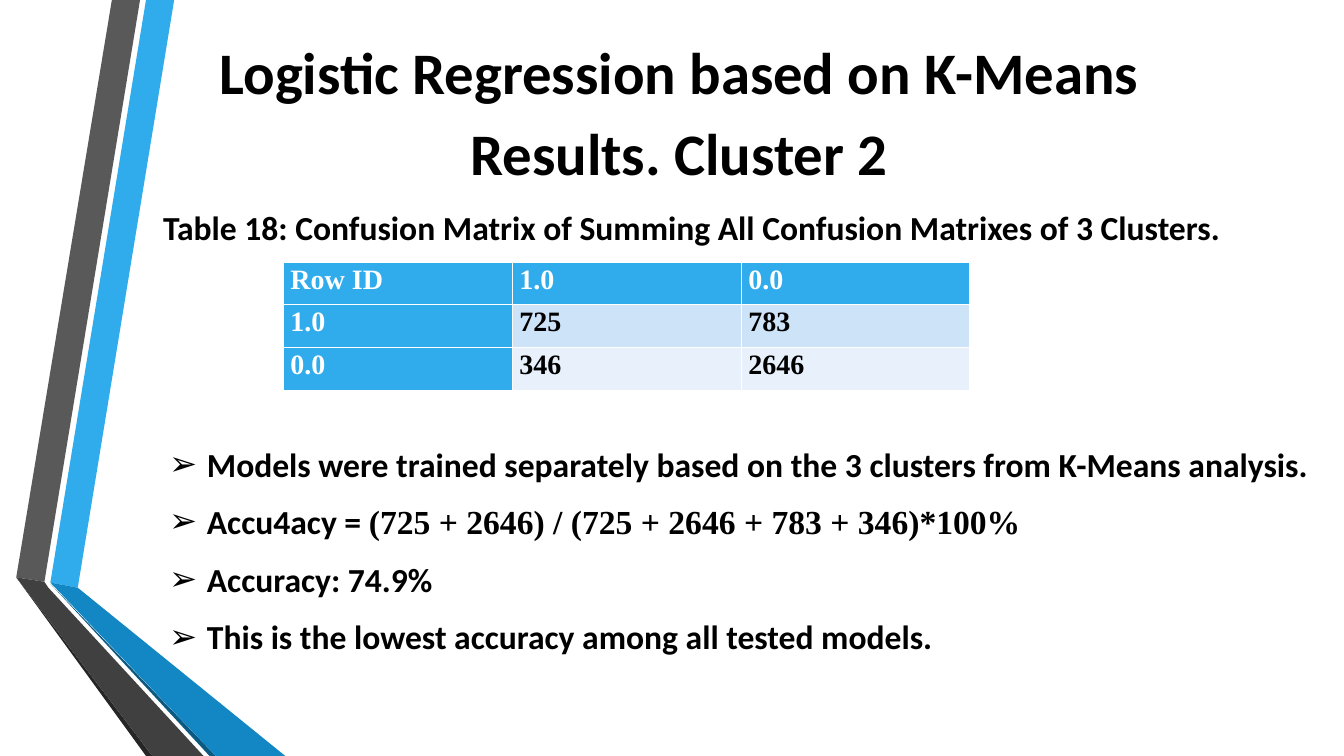
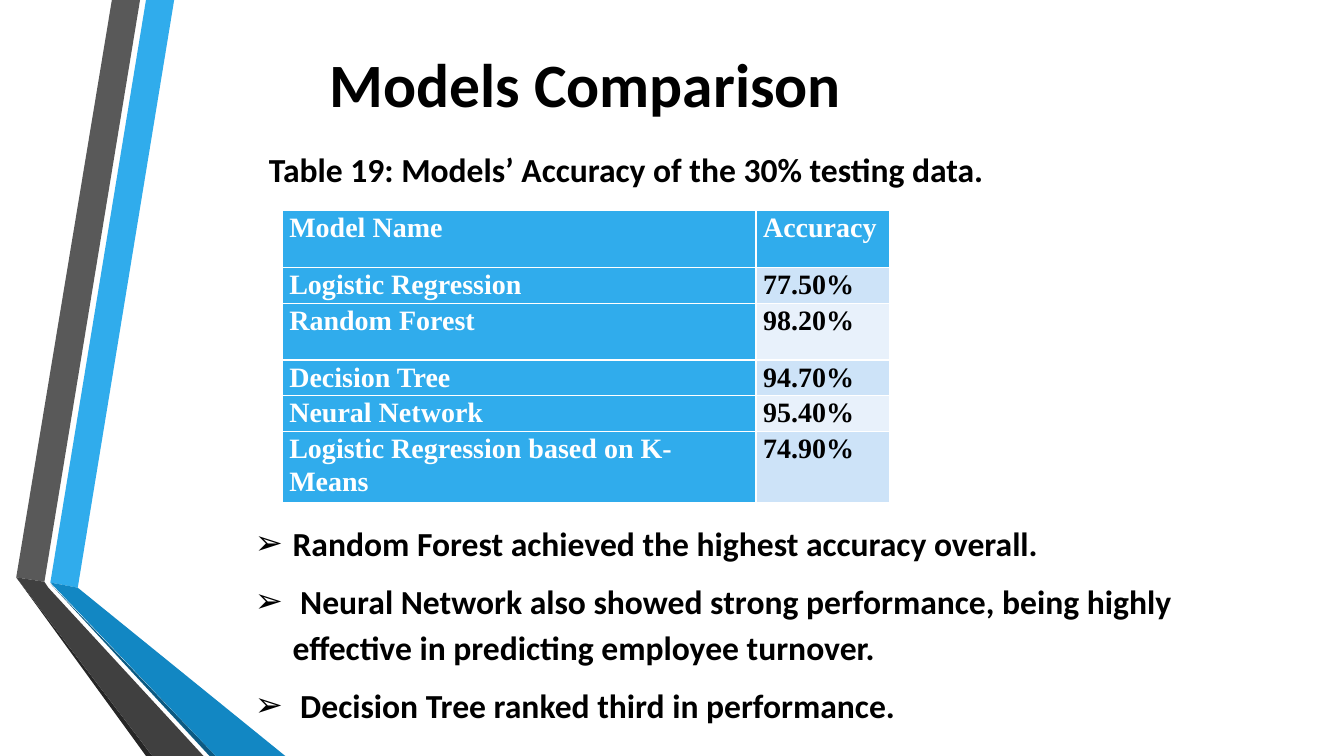
from lxml.etree import SubElement
from pptx import Presentation
from pptx.dml.color import RGBColor
from pptx.enum.text import MSO_ANCHOR, MSO_AUTO_SIZE, PP_ALIGN
from pptx.oxml.ns import qn
from pptx.util import Cm, Pt

BLUE, WHITE, BLACK = "30ACEC", "FFFFFF", "000000"
STRIPES = ("CDE3F8", "E8F1FB")
SANS, SERIF = "Calibri", "Times New Roman"
BANDS = [
    (BLUE, [(1.27, 14.68), (1.96, 14.81), (4.39, 0), (3.68, 0)]),
    ("595959", [(3.53, 0), (2.82, 0), (0.41, 14.55), (1.12, 14.66)]),
    ("262626", [(0.41, 14.55), (3.68, 19.05), (3.84, 19.05)]),
    ("0C5A82", [(1.27, 14.71), (5.28, 19.05), (5.44, 19.05)]),
    ("1287C3", [(1.27, 14.68), (5.44, 19.05), (7.19, 19.05), (1.96, 14.81)]),
    ("404040", [(5.13, 19.05), (1.22, 14.81), (1.12, 14.66), (0.41, 14.55),
                (3.84, 19.05)]),
]


def rgb(color):
    return RGBColor.from_string(color)


class Deck:
    """Holds the presentation, its style and the current slide."""

    def __init__(self):
        self.prs = Presentation()
        self.prs.slide_width, self.prs.slide_height = Cm(33.87), Cm(19.05)
        self.s = None

    def slide(self):
        first = self.s is None
        self.s = self.prs.slides.add_slide(self.prs.slide_layouts[1])
        if first:
            self.bands()

    def bands(self):
        tree = self.prs.slide_master.shapes.element
        for i, (color, points) in enumerate(BANDS):
            start, *rest = [(Cm(x), Cm(y)) for x, y in points]
            fb = self.s.shapes.build_freeform(*start)
            fb.add_line_segments(rest, close=True)
            sp = fb.convert_to_shape()
            sp.shadow.inherit = False
            sp.fill.solid()
            sp.fill.fore_color.rgb = rgb(color)
            sp.line.fill.background()
            tree.insert(2 + i, sp.element)

    def place(self, sp, box):
        sp.left, sp.top, sp.width, sp.height = [Cm(v) for v in box]
        tf = sp.text_frame
        tf.word_wrap = True
        tf.auto_size = MSO_AUTO_SIZE.NONE
        tf.vertical_anchor = MSO_ANCHOR.TOP
        return tf

    def spacing(self, p, line, after=8):
        p.space_before, p.space_after, p.line_spacing = Pt(0), Pt(after), line

    def font(self, r, size, name=SANS, color=BLACK):
        r.font.name, r.font.size, r.font.bold = name, Pt(size), True
        r.font.color.rgb = rgb(color)

    def title(self, text, box, size, line=1.0):
        tf = self.place(self.s.shapes.title, box)
        tf.text = text
        p = tf.paragraphs[0]
        p.alignment = PP_ALIGN.CENTER
        self.spacing(p, line)
        self.font(p.runs[0], size)

    def caption(self, text, box):
        tf = self.place(self.s.shapes.add_textbox(0, 0, 0, 0), box)
        tf.text = text
        p = tf.paragraphs[0]
        self.spacing(p, 1.07)
        self.font(p.runs[0], 24)

    def bullets(self, items, box):
        tf = self.place(self.s.placeholders[1], box)
        for i, (text, *formula) in enumerate(items):
            p = tf.add_paragraph() if i else tf.paragraphs[0]
            p.text = text
            pPr = p._p.get_or_add_pPr()
            pPr.set("marL", str(Cm(0.95)))
            pPr.set("indent", str(-Cm(0.95)))
            SubElement(pPr, qn("a:buChar")).set("char", "➢")
            self.spacing(p, 1.15)
            self.font(p.runs[0], 24)
            for part in formula:
                r = p.add_run()
                r.text = part
                self.font(r, 24, SERIF)

    def table(self, rows, left, top, widths, heights):
        frame = self.s.shapes.add_table(
            len(rows), len(widths), Cm(left), Cm(top),
            Cm(sum(widths)), Cm(sum(heights)))
        tbl = frame.table
        for col, width in zip(tbl.columns, widths):
            col.width = Cm(width)
        for i, (values, height) in enumerate(zip(rows, heights)):
            tbl.rows[i].height = Cm(height)
            for j, value in enumerate(values):
                self.cell(tbl.cell(i, j), value, i, heading=i == 0 or j == 0)

    def cell(self, cell, value, row, heading):
        cell.margin_left = cell.margin_right = Cm(0.18)
        cell.margin_top = cell.margin_bottom = 0
        cell.fill.solid()
        cell.fill.fore_color.rgb = rgb(BLUE if heading else STRIPES[(row - 1) % 2])
        cell.text_frame.text = value
        p = cell.text_frame.paragraphs[0]
        self.spacing(p, 1.07)
        self.font(p.runs[0], 20, SERIF, WHITE if heading else BLACK)


def main():
    deck = Deck()

    deck.slide()
    deck.title("Logistic Regression based on K-Means Results. Cluster 2",
               (4.01, 0.51, 26.21, 4.27), 42, 1.15)
    deck.table([("Row ID", "1.0", "0.0"),
                ("1.0", "725", "783"),
                ("0.0", "346", "2646")],
               7.14, 6.6, [5.77] * 3, [1.08] * 3)
    deck.caption("Table 18: Confusion Matrix of Summing All Confusion Matrixes "
                 "of 3 Clusters.", (3.86, 5.03, 28.35, 1.3))
    deck.bullets([
        ("Models were trained separately based on the 3 clusters from "
         "K-Means analysis.",),
        ("Accu4acy = ", "(725 + 2646) / (725 + 2646 + 783 + 346)*100%"),
        ("Accuracy: 74.9%",),
        ("This is the lowest accuracy among all tested models.",),
    ], (4.01, 10.9, 29.77, 6.93))

    deck.slide()
    deck.title("Models Comparison", (6.53, 1.04, 16.46, 2.13), 44)
    deck.table([("Model Name", "Accuracy"),
                ("Logistic Regression", "77.50%"),
                ("Random Forest", "98.20%"),
                ("Decision Tree", "94.70%"),
                ("Neural Network", "95.40%"),
                ("Logistic Regression based on K-Means", "74.90%")],
               7.11, 5.31, [11.94, 3.38], [1.43, 0.9, 1.43, 0.9, 0.9, 1.8])
    deck.caption("Table 19: Models’ Accuracy of the 30% testing data.",
                 (6.53, 3.56, 19.96, 1.3))
    deck.bullets([
        ("Random Forest achieved the highest accuracy overall.",),
        (" Neural Network also showed strong performance, being highly "
         "effective in predicting employee turnover.",),
        (" Decision Tree ranked third in performance.",),
    ], (6.17, 12.9, 26.77, 6.1))

    deck.prs.save("out.pptx")


if __name__ == "__main__":
    main()
